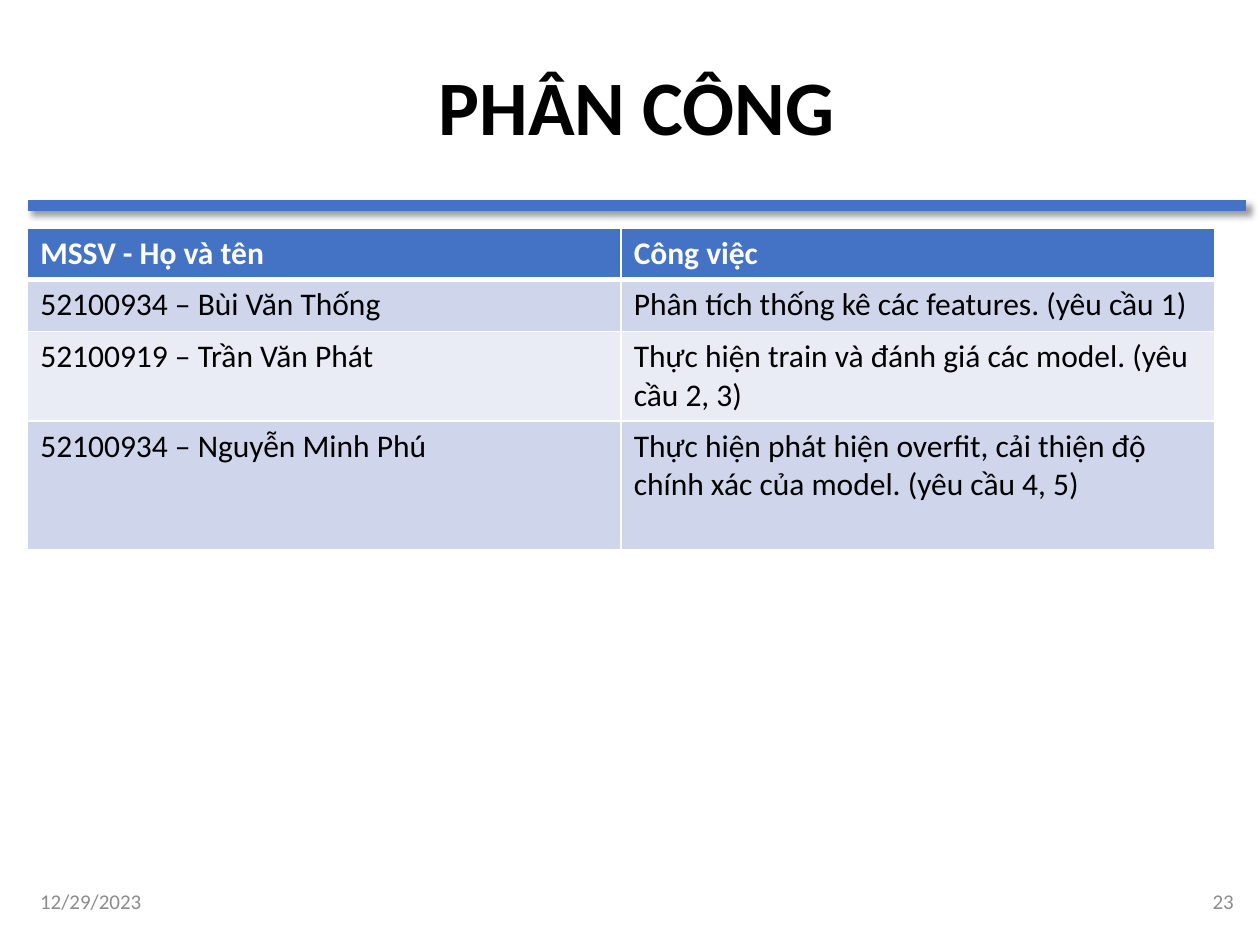
from lxml.etree import SubElement
from pptx import Presentation
from pptx.dml.color import RGBColor
from pptx.enum.shapes import MSO_CONNECTOR
from pptx.enum.text import MSO_ANCHOR, PP_ALIGN
from pptx.oxml.ns import qn
from pptx.util import Inches, Pt

FONT = "Calibri"
COLORS = {
    "accent": "4472C4", "text": "000000", "white": "FFFFFF",
    "band_dark": "CFD5EA", "band_light": "E9EBF5", "footer": "8C8C8C",
}
SLIDE_W, SLIDE_H = 10, 7.5
LEFT, CONTENT_W = 0.22, 9.67
FOOTER_W = 2.25
ROW_HEIGHTS = [0.41, 0.41, 0.7, 1.02]
ROWS = [
    ("MSSV - Họ và tên", "Công việc"),
    ("52100934 – Bùi Văn Thống", "Phân tích thống kê các features. (yêu cầu 1)"),
    ("52100919 – Trần Văn Phát",
     "Thực hiện train và đánh giá các model. (yêu cầu 2, 3)"),
    ("52100934 – Nguyễn Minh Phú",
     "Thực hiện phát hiện overfit, cải thiện độ chính xác của model. (yêu cầu 4, 5)"),
]


def rgb(name):
    return RGBColor.from_string(COLORS[name])


def write(tf, text, size, color, bold=False, align=PP_ALIGN.LEFT):
    tf.text = text
    p = tf.paragraphs[0]
    p.alignment = align
    p.font.name, p.font.size, p.font.bold = FONT, Pt(size), bold
    p.font.color.rgb = rgb(color)
    return p


def add_title(slide, box, text):
    sp = slide.shapes.title
    sp.left, sp.top, sp.width, sp.height = map(Inches, box)
    sp.text_frame.vertical_anchor = MSO_ANCHOR.MIDDLE
    p = write(sp.text_frame, text, 44, "text", True, PP_ALIGN.CENTER)
    p.line_spacing = 0.9


def add_rule(slide, x, y, width):
    line = slide.shapes.add_connector(
        MSO_CONNECTOR.STRAIGHT, Inches(x), Inches(y), Inches(x + width), Inches(y))
    line.line.color.rgb = rgb("accent")
    line.line.width = Pt(6)
    # Soft shadow to the lower right
    effects = SubElement(line._element.spPr, qn("a:effectLst"))
    shadow = SubElement(effects, qn("a:outerShdw"), blurRad=str(Pt(4)),
                        dist=str(Pt(3)), dir=str(45 * 60000), rotWithShape="0")
    color = SubElement(shadow, qn("a:srgbClr"), val=COLORS["text"])
    SubElement(color, qn("a:alpha"), val="40000")


def set_borders(cell, widths):
    tc_pr = cell._tc.get_or_add_tcPr()
    for side, width in zip("LRTB", widths):
        ln = SubElement(tc_pr, qn(f"a:ln{side}"), w=str(Pt(width)))
        fill = SubElement(ln, qn("a:solidFill"))
        SubElement(fill, qn("a:srgbClr"), val=COLORS["white"])


def add_task_table(slide, x, y, width):
    table = slide.shapes.add_table(
        len(ROWS), len(ROWS[0]), Inches(x), Inches(y),
        Inches(width), Inches(sum(ROW_HEIGHTS))).table
    for i, (texts, height) in enumerate(zip(ROWS, ROW_HEIGHTS)):
        table.rows[i].height = Inches(height)
        header = i == 0
        band = "accent" if header else "band_dark" if i % 2 else "band_light"
        for j, text in enumerate(texts):
            cell = table.cell(i, j)
            # A thicker line parts the header from the body
            set_borders(cell, (1, 1, 3 if i == 1 else 1, 3 if header else 1))
            cell.fill.solid()
            cell.fill.fore_color.rgb = rgb(band)
            write(cell.text_frame, text, 18, "white" if header else "text", header)


def add_footer(slide, box, date, number):
    x, y, width, height = box
    parts = [(x, date, PP_ALIGN.LEFT),
             (x + width - FOOTER_W, number, PP_ALIGN.RIGHT)]
    for left, text, align in parts:
        tf = slide.shapes.add_textbox(
            Inches(left), Inches(y), Inches(FOOTER_W), Inches(height)).text_frame
        tf.word_wrap = True
        tf.vertical_anchor = MSO_ANCHOR.MIDDLE
        write(tf, text, 12, "footer", align=align)


def main():
    prs = Presentation()
    prs.slide_width, prs.slide_height = Inches(SLIDE_W), Inches(SLIDE_H)
    slide = prs.slides.add_slide(prs.slide_layouts[5])
    add_rule(slide, LEFT, 1.63, CONTENT_W)
    add_title(slide, (LEFT, 0.15, CONTENT_W, 1.46), "PHÂN CÔNG")
    add_task_table(slide, LEFT, 1.81, 9.42)
    add_footer(slide, (LEFT, 6.95, CONTENT_W, 0.4), "12/29/2023", "23")
    prs.save("out.pptx")


if __name__ == "__main__":
    main()
